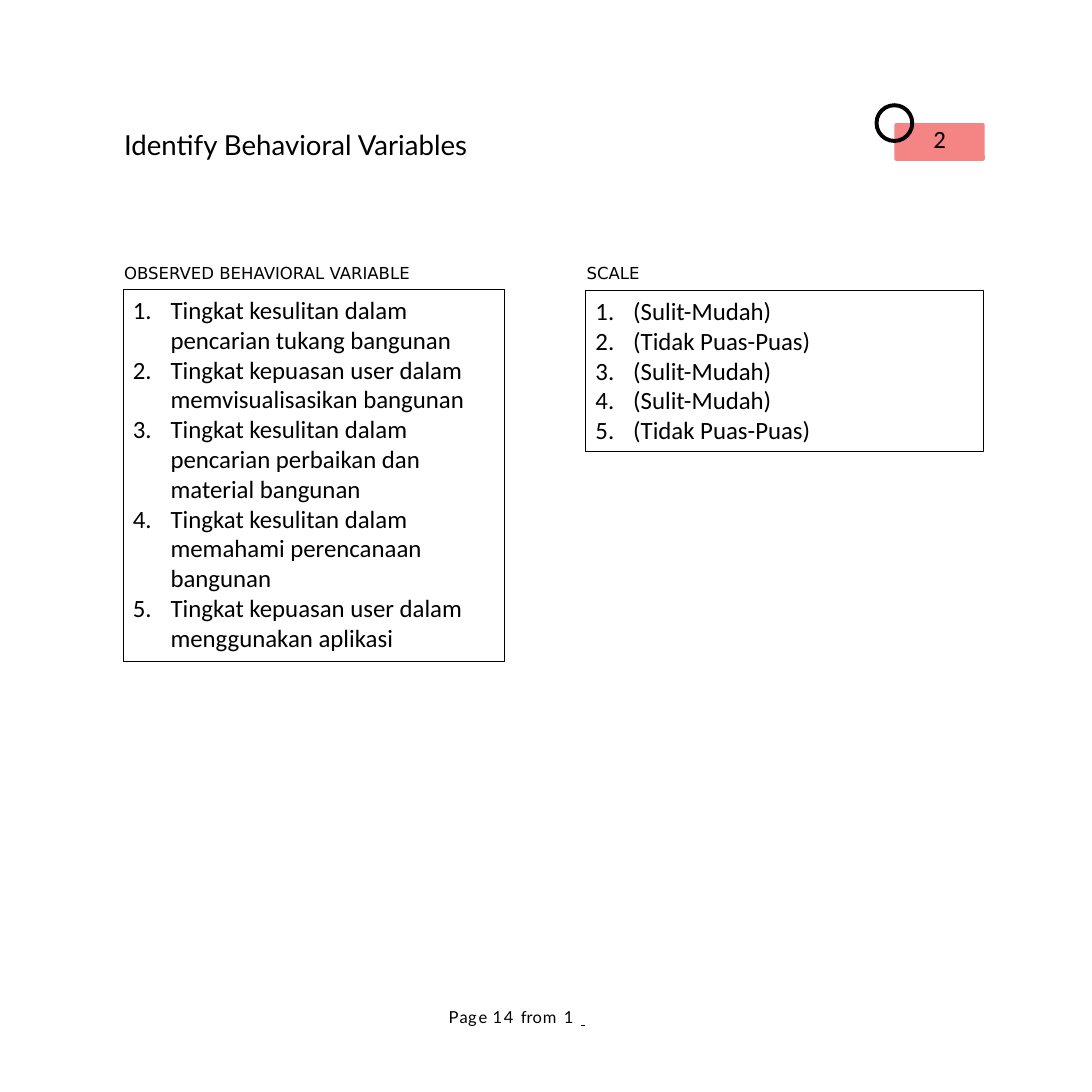
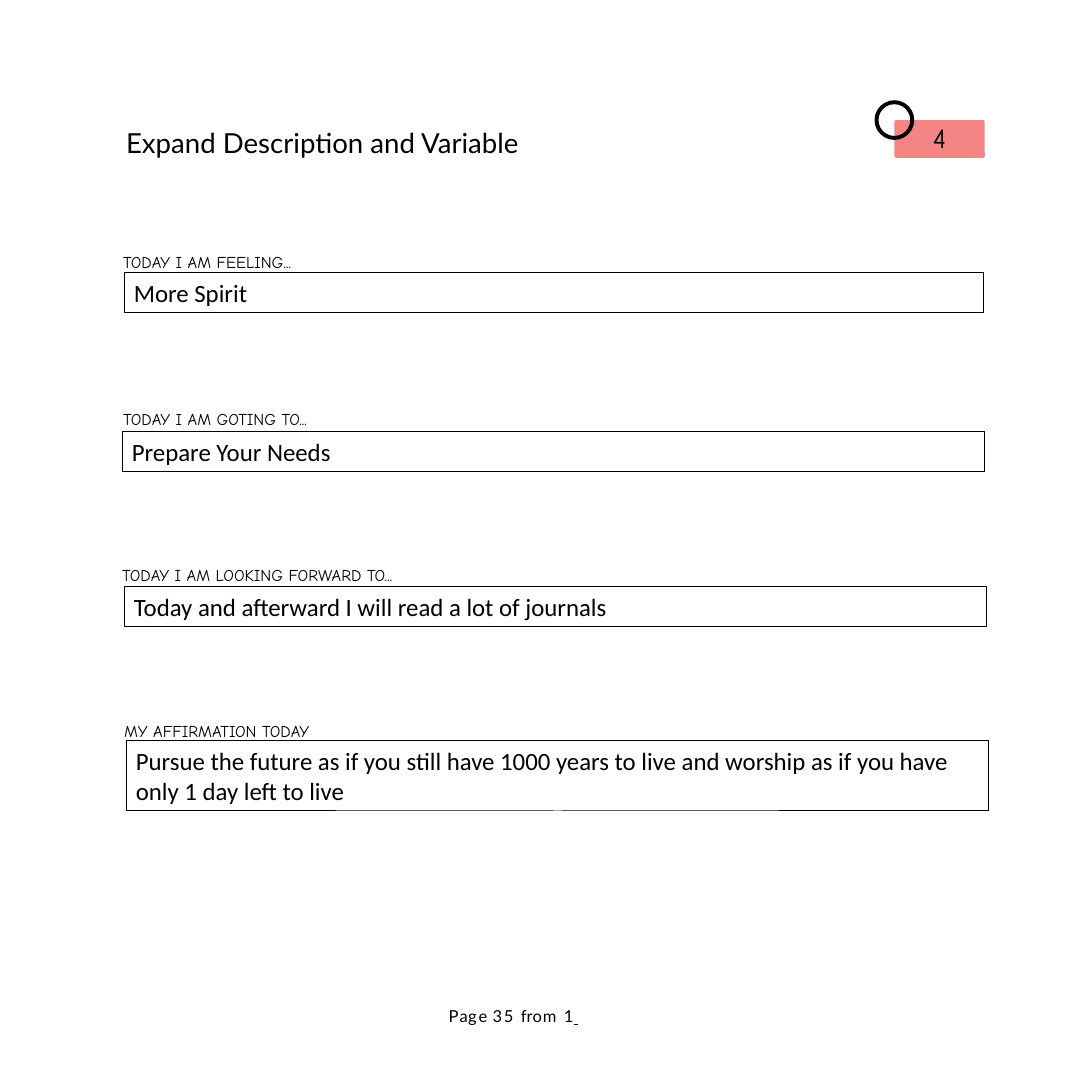
from lxml import etree
from pptx import Presentation
from pptx.dml.color import RGBColor
from pptx.enum import shapes, text
from pptx.oxml import ns
from pptx.util import Inches, Pt

BLACK = RGBColor(0x00, 0x00, 0x00)
CORAL = RGBColor(0xF5, 0x85, 0x85)
HEADING, BODY = "Lato", "Calibri"
TITLE_ONLY = 5


def lengths(*values):
    return [Inches(value) for value in values]


def set_font(font, name, size):
    font.name = name
    font.size = Pt(size)
    font.color.rgb = BLACK


def set_frame(frame, left=0, top=0, right=0, bottom=0):
    frame.word_wrap = True
    frame.auto_size = text.MSO_AUTO_SIZE.NONE
    frame.vertical_anchor = text.MSO_ANCHOR.TOP
    frame.margin_left, frame.margin_top = lengths(left, top)
    frame.margin_right, frame.margin_bottom = lengths(right, bottom)


def set_line(paragraph, words, name, size, align=text.PP_ALIGN.LEFT):
    paragraph.text = words
    paragraph.alignment = align
    set_font(paragraph.font, name, size)


def number(paragraph):
    props = paragraph._p.get_or_add_pPr()
    props.set("marL", str(Inches(0.38)))
    props.set("indent", str(-Inches(0.38)))
    etree.SubElement(props, ns.qn("a:buFont"), typeface="+mj-lt")
    etree.SubElement(props, ns.qn("a:buAutoNum"), type="arabicPeriod")


def add_title(slide, box, words):
    title = slide.shapes.title
    title.left, title.top, title.width, title.height = lengths(*box)
    set_frame(title.text_frame, left=0.01, top=0.03)
    set_line(title.text_frame.paragraphs[0], words, HEADING, 20)


def add_label(slide, box, words, font):
    label = slide.shapes.add_textbox(*lengths(*box))
    set_frame(label.text_frame, left=0.01, top=0.02)
    set_line(label.text_frame.paragraphs[0], words, font, 12)


def add_answer(slide, box, lines, numbered=False):
    answer = slide.shapes.add_textbox(*lengths(*box))
    answer.line.color.rgb = BLACK
    answer.line.width = Pt(0.75)
    frame = answer.text_frame
    set_frame(frame, 0.1, 0.05, 0.1, 0.05)
    for index, words in enumerate(lines):
        paragraph = frame.add_paragraph() if index else frame.paragraphs[0]
        if numbered:
            number(paragraph)
        set_line(paragraph, words, BODY, 18)


def add_badge(slide, left, top, step, font, size):
    badge = slide.shapes.add_group_shape()
    parts = [
        (shapes.MSO_SHAPE.ROUNDED_RECTANGLE, (left + 0.2, top + 0.2, 0.91, 0.38), 0.05, CORAL),
        (shapes.MSO_SHAPE.DONUT, (left, top, 0.4, 0.4), 0.1, BLACK),
    ]
    plate, ring = [badge.shapes.add_shape(kind, *lengths(*box)) for kind, box, _, _ in parts]
    for part, (_, _, adjustment, color) in zip((plate, ring), parts):
        part.adjustments[0] = adjustment
        part.shadow.inherit = False
        part.fill.solid()
        part.fill.fore_color.rgb = color
        part.line.fill.background()
    set_frame(plate.text_frame)
    set_line(plate.text_frame.paragraphs[0], step, font, size, text.PP_ALIGN.CENTER)


def add_footer(slide, top, page, ending):
    footer = slide.shapes.add_textbox(*lengths(4.51, top, 1.41, 0.2))
    set_frame(footer.text_frame, left=0.01)
    paragraph = footer.text_frame.paragraphs[0]
    tabs = etree.SubElement(paragraph._p.get_or_add_pPr(), ns.qn("a:tabLst"))
    etree.SubElement(tabs, ns.qn("a:tab"), pos=str(Inches(1.35)), algn="l")
    paragraph.line_spacing = Pt(14.1)
    set_font(paragraph.font, HEADING, 12)
    opening = [("P", 70), ("a", 20), ("g", 140), ("e ", 40),
               (f"{page} ", 120), ("fr", -10), ("o", 70)]
    for words, spacing in opening + ending:
        run = paragraph.add_run()
        run.text = words
        run._r.get_or_add_rPr().set("spc", str(spacing))
    blank = paragraph.add_run()
    blank.text = " \t"
    blank.font.name = "Times New Roman"
    blank.font.underline = True


def build_variables(slide):
    add_title(slide, (1.24, 1.26, 5.84, 0.35), "Identify Behavioral Variables")
    add_badge(slide, 8.81, 1.04, "2", BODY, 18)
    easy, satisfied = "(Sulit-Mudah)", "(Tidak Puas-Puas)"
    columns = [
        ("OBSERVED BEHAVIORAL VARIABLE", (1.24, 2.92, 3.84, 3.74), [
            "Tingkat kesulitan dalam pencarian tukang bangunan",
            "Tingkat kepuasan user dalam memvisualisasikan bangunan",
            "Tingkat kesulitan dalam pencarian perbaikan dan material bangunan",
            "Tingkat kesulitan dalam memahami perencanaan bangunan",
            "Tingkat kepuasan user dalam menggunakan aplikasi",
        ]),
        ("SCALE", (5.9, 2.93, 4.01, 1.62), [easy, satisfied, easy, easy, satisfied]),
    ]
    for label, box, lines in columns:
        add_label(slide, (box[0], 2.63, box[2], 0.22), label, "DejaVu Sans")
        add_answer(slide, box, lines, numbered=True)
    add_footer(slide, 10.15, 14, [("m 1 ", 110)])


def build_description(slide):
    add_title(slide, (1.26, 1.24, 4.3, 0.35), "Expand Description and Variable")
    add_badge(slide, 8.81, 1.01, "4", "Comic Neue", 20)
    prompts = [
        ("TODAY I AM FEELING...", 1.23, (1.25, 2.75, 8.66, 0.4), "More Spirit"),
        ("TODAY I AM GOTING TO...", 1.23, (1.23, 4.35, 8.69, 0.4), "Prepare Your Needs"),
        ("TODAY I AM LOOKING FORWARD TO...", 1.22, (1.25, 5.91, 8.69, 0.4),
         "Today and afterward I will read a lot of journals"),
        ("MY AFFIRMATION TODAY", 1.24, (1.27, 7.46, 8.69, 0.71),
         "Pursue the future as if you still have 1000 years to live "
         "and worship as if you have only 1 day left to live"),
    ]
    for index, (label, left, box, answer) in enumerate(prompts):
        add_label(slide, (left, 2.52 + 1.575 * index, 3.25, 0.22), label, "Comic Neue")
        add_answer(slide, box, [answer])
    add_footer(slide, 10.14, 35, [("m ", 110), ("1", -90)])


def main():
    deck = Presentation()
    deck.slide_width = deck.slide_height = Inches(11)
    for build in (build_variables, build_description):
        build(deck.slides.add_slide(deck.slide_layouts[TITLE_ONLY]))
    deck.save("out.pptx")


if __name__ == "__main__":
    main()
